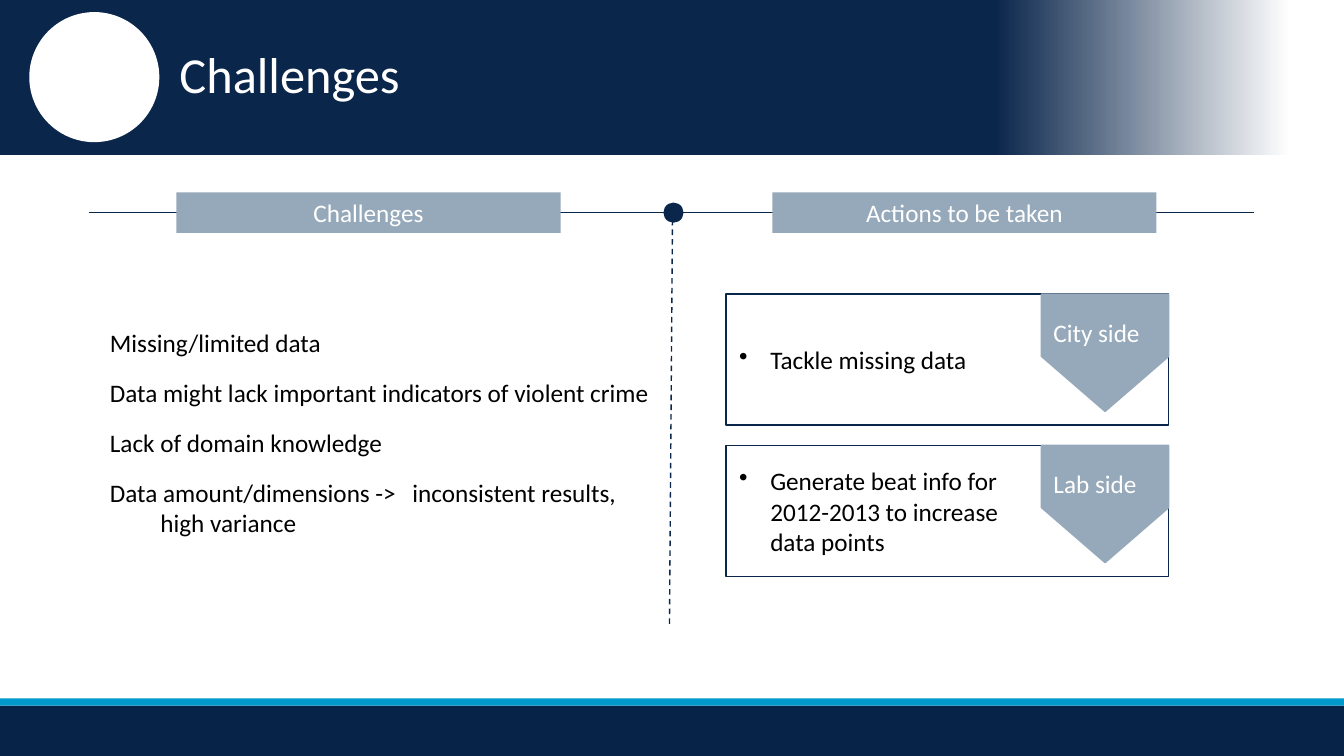
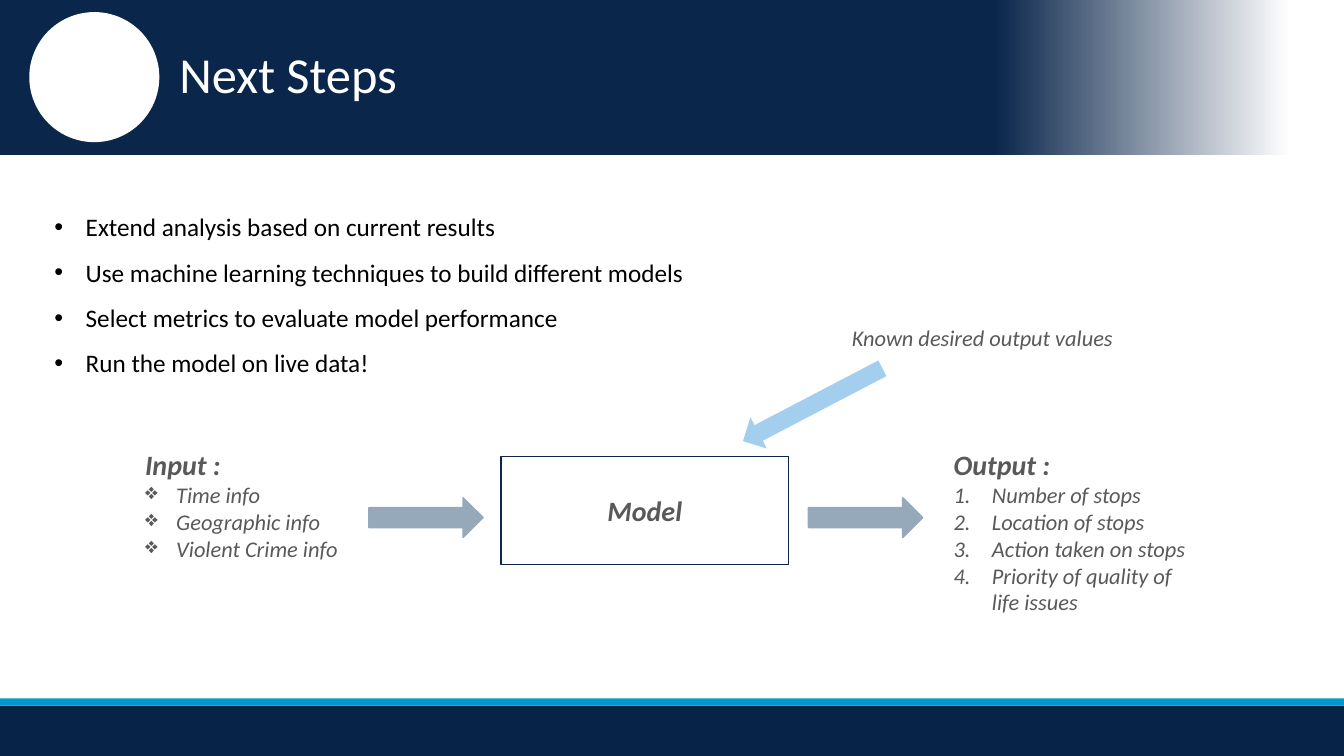
from lxml.etree import SubElement
from pptx import Presentation
from pptx.dml.color import RGBColor
from pptx.enum.dml import MSO_LINE_DASH_STYLE as DASH
from pptx.enum.shapes import MSO_CONNECTOR, MSO_SHAPE as SHAPE
from pptx.enum.text import MSO_ANCHOR, MSO_AUTO_SIZE, PP_ALIGN
from pptx.oxml.ns import qn
from pptx.util import Inches, Pt

NAVY = RGBColor(0x0A, 0x26, 0x4B)
FOOTER_NAVY = RGBColor(0x07, 0x23, 0x48)
CYAN = RGBColor(0x00, 0x99, 0xCC)
STEEL = RGBColor(0x96, 0xA9, 0xBA)
SKY = RGBColor(0xA3, 0xCE, 0xED)
GRAY = RGBColor(0x59, 0x59, 0x59)
BLACK = RGBColor(0, 0, 0)
WHITE = RGBColor(0xFF, 0xFF, 0xFF)
FONT = "Calibri"


def add_block(slide, kind, left, top, width, height, fill=None, line=None, weight=1.25):
    shape = slide.shapes.add_shape(
        kind, Inches(left), Inches(top), Inches(width), Inches(height))
    shape.shadow.inherit = False
    if fill is None:
        shape.fill.background()
    else:
        shape.fill.solid()
        shape.fill.fore_color.rgb = fill
    if line is None:
        shape.line.fill.background()
    else:
        shape.line.color.rgb = line
        shape.line.width = Pt(weight)
    return shape


def write(shape, lines, size=18, color=BLACK, bold=False, italic=False, bullet=None,
          indent=0.31, align=PP_ALIGN.LEFT, spacing=1.0, after=0, append=False):
    """Fill a shape with paragraphs; bullet is a character or "1." for numbers."""
    frame = shape.text_frame
    frame.word_wrap = True
    frame.auto_size = MSO_AUTO_SIZE.NONE
    for index, line in enumerate(lines):
        paragraph = frame.add_paragraph() if append or index else frame.paragraphs[0]
        paragraph.text = line
        paragraph.alignment = align
        paragraph.line_spacing = spacing
        paragraph.space_before, paragraph.space_after = Pt(0), Pt(after)
        properties = paragraph._p.get_or_add_pPr()
        margin = Inches(indent) if bullet else 0
        properties.set("marL", str(margin))
        properties.set("indent", str(-margin))
        if bullet == "1.":
            SubElement(properties, qn("a:buAutoNum"), type="arabicPeriod")
        elif bullet:
            SubElement(properties, qn("a:buChar"), char=bullet)
        else:
            SubElement(properties, qn("a:buNone"))
        font = paragraph.font
        font.name, font.size = FONT, Pt(size)
        font.bold, font.italic = bold, italic
        font.color.rgb = color


presentation = Presentation()
presentation.slide_width = Inches(13.33)
presentation.slide_height = Inches(7.5)
master = presentation.slide_master
layout = presentation.slide_layouts.get_by_name("Title and Content")
challenges = presentation.slides.add_slide(layout)
next_steps = presentation.slides.add_slide(layout)

# Shared bands and emblem disc, moved to the slide master
header = add_block(challenges, SHAPE.RECTANGLE, 0, 0, 13.33, 1.54, NAVY)
header.fill.gradient()
header.fill.gradient_angle = 0
for stop, position, color in zip(header.fill.gradient_stops, (0.74, 0.96), (NAVY, WHITE)):
    stop.position = position
    stop.color.rgb = color
bands = [
    add_block(challenges, SHAPE.RECTANGLE, 0, 7, 13.33, 0.5, FOOTER_NAVY),
    add_block(challenges, SHAPE.RECTANGLE, 0, 6.93, 13.33, 0.07, CYAN),
    header,
    add_block(challenges, SHAPE.OVAL, 0.29, 0.12, 1.29, 1.29, WHITE),
]
for index, band in enumerate(bands):
    band.element.xpath("./p:nvSpPr/p:cNvPr")[0].set("id", str(100 + index))
    master.shapes.element.insert(2 + index, band.element)

# Shared title style
master_title = master.placeholders[0]
master_title.left, master_title.top = Inches(1.68), Inches(0.37)
master_title.width, master_title.height = Inches(9.72), Inches(0.71)
title_style = master.element.find(
    "/".join(qn(tag) for tag in ("p:txStyles", "p:titleStyle", "a:lvl1pPr")))
title_style.set("algn", "l")
title_font = title_style.find(qn("a:defRPr"))
title_font.set("sz", "3600")
title_color = title_font.find(qn("a:solidFill"))
title_color.clear()
SubElement(title_color, qn("a:srgbClr"), val=str(WHITE))

# Titles and body lists
for slide, title, box in (
    (challenges, "Challenges", (0.99, 3.2, 5.65, 2.3)),
    (next_steps, "Next Steps", (0.44, 1.9, 11.74, 1.92)),
):
    slide.shapes.title.text = title
    body = slide.placeholders[1]
    body.left, body.top, body.width, body.height = (Inches(value) for value in box)

challenge_list = challenges.placeholders[1]
write(challenge_list, [
    "Missing/limited data",
    "Data might lack important indicators of violent crime",
    "Lack of domain knowledge",
    "Data amount/dimensions ->\tinconsistent results,\v\thigh variance",
], after=14)
last_properties = challenge_list.text_frame.paragraphs[-1]._p.get_or_add_pPr()
tab_list = last_properties.makeelement(qn("a:tabLst"))
last_properties.find(qn("a:buNone")).addnext(tab_list)
for position in (1.02, 2.94):
    SubElement(tab_list, qn("a:tab"), pos=str(Inches(position)), algn="l")

write(next_steps.placeholders[1], [
    "Extend analysis based on current results",
    "Use machine learning techniques to build different models",
    "Select metrics to evaluate model performance",
    "Run the model on live data!",
], bullet="•", spacing=1.5)

# Challenges: column lines, headings and dot
for start_x, start_y, end_x, end_y, dash in (
    (0.88, 2.11, 12.44, 2.11, None),
    (6.67, 2.18, 6.64, 6.21, DASH.DASH),
):
    rule = challenges.shapes.add_connector(
        MSO_CONNECTOR.STRAIGHT, Inches(start_x), Inches(start_y), Inches(end_x), Inches(end_y))
    rule.line.color.rgb = NAVY
    rule.line.width = Pt(1)
    rule.line.dash_style = dash
    SubElement(rule.element.spPr, qn("a:effectLst"))
for left, heading in ((1.75, "Challenges"), (7.66, "Actions to be taken")):
    label = add_block(challenges, SHAPE.RECTANGLE, left, 1.91, 3.81, 0.4, STEEL)
    write(label, [heading], color=WHITE, align=PP_ALIGN.CENTER)
add_block(challenges, SHAPE.OVAL, 6.58, 2.01, 0.2, 0.2, NAVY)

# Challenges: action boxes with pennants
for index, (action, side) in enumerate((
    ("Tackle missing data", "City side"),
    ("Generate beat info for 2012-2013 to increase data points", "Lab side"),
)):
    top = 2.92 + 1.5 * index
    action_box = add_block(challenges, SHAPE.RECTANGLE, 7.2, top, 4.39, 1.3, line=NAVY)
    action_box.text_frame.margin_left = Inches(0.13)
    action_box.text_frame.margin_right = Inches(1.31)
    write(action_box, [action], bullet="•")
    pennant = add_block(challenges, SHAPE.PENTAGON, 10.38, top - 0.05, 1.16, 1.26, STEEL, STEEL)
    pennant.adjustments[0] = 0.47
    pennant.rotation = 90
    side_label = challenges.shapes.add_textbox(
        Inches(10.35), Inches(top + 0.18), Inches(1.29), Inches(0.4))
    write(side_label, [side], color=WHITE)

# Next steps: input, model, output
for left, width, heading, items, bullet, indent in (
    (1.34, 2.3, "Input :", ["Time info", "Geographic info", "Violent Crime info"], "❖", 0.31),
    (9.36, 2.63, "Output :", ["Number of stops", "Location of stops", "Action taken on stops",
                              "Priority of quality of life issues"], "1.", 0.38),
):
    column = next_steps.shapes.add_textbox(
        Inches(left), Inches(4.39), Inches(width), Inches(1.78))
    write(column, [heading], 20, GRAY, bold=True, italic=True)
    write(column, items, 16, GRAY, italic=True, bullet=bullet, indent=indent, append=True)

model_box = add_block(next_steps, SHAPE.RECTANGLE, 4.97, 4.53, 2.85, 1.07, line=NAVY, weight=1)
model_box.text_frame.vertical_anchor = MSO_ANCHOR.MIDDLE
write(model_box, ["Model"], 20, GRAY, bold=True, italic=True, align=PP_ALIGN.CENTER)
for left in (3.66, 8.02):
    add_block(next_steps, SHAPE.RIGHT_ARROW, left, 4.94, 1.13, 0.39, STEEL, STEEL)

# Next steps: known values feeding the model
feed_arrow = add_block(next_steps, SHAPE.RIGHT_ARROW, 7.28, 3.84, 1.56, 0.35, SKY)
feed_arrow.rotation = 152.4
known_values = next_steps.shapes.add_textbox(
    Inches(8.35), Inches(3.17), Inches(3.26), Inches(0.37))
write(known_values, ["Known desired output values"], 16, GRAY, italic=True)

presentation.save("out.pptx")
